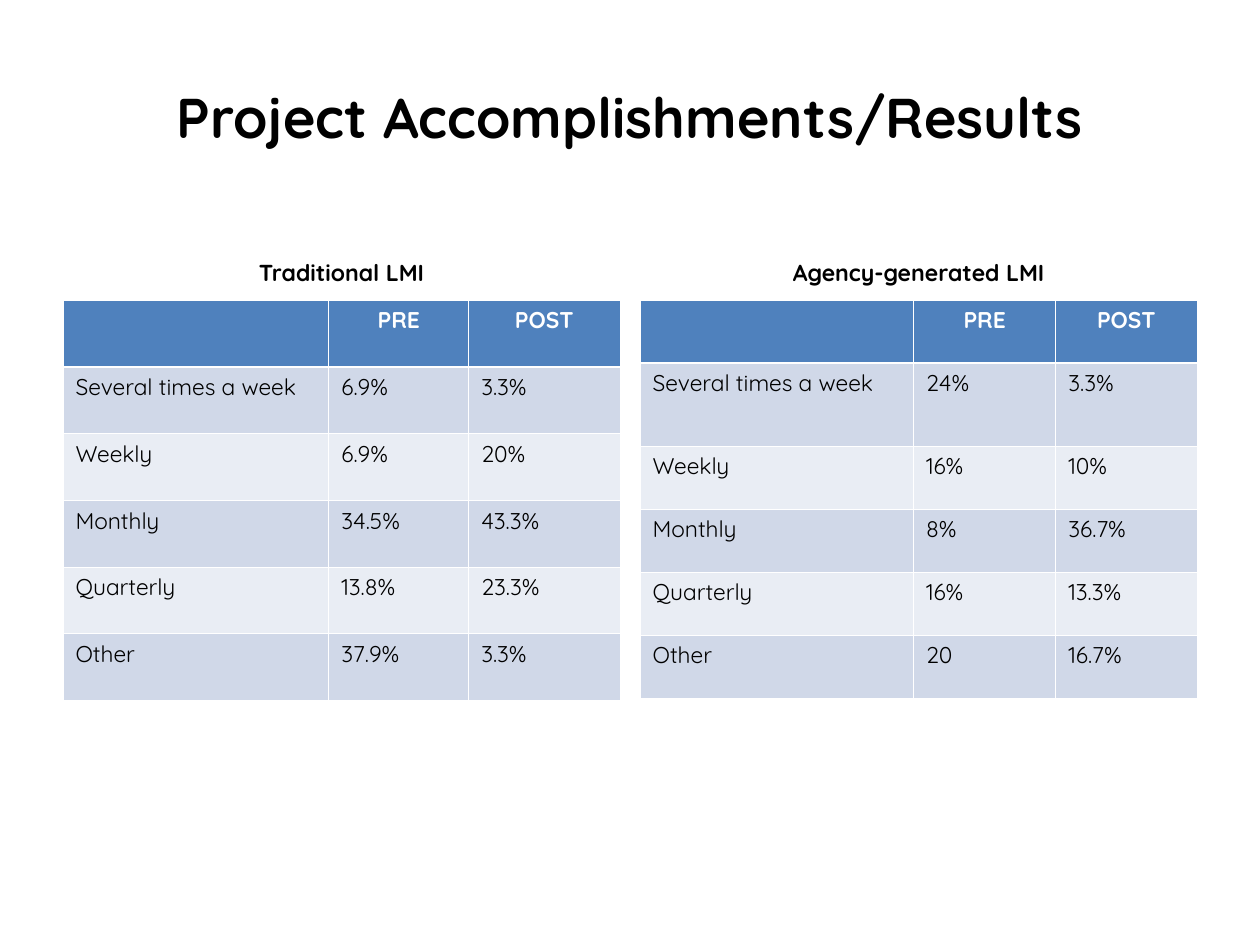
from lxml import etree
from pptx import Presentation
from pptx.dml.color import RGBColor
from pptx.enum.text import MSO_ANCHOR, PP_ALIGN
from pptx.oxml.ns import qn
from pptx.util import Inches, Pt

CENTER, LEFT = PP_ALIGN.CENTER, PP_ALIGN.LEFT
MIDDLE, BOTTOM = MSO_ANCHOR.MIDDLE, MSO_ANCHOR.BOTTOM
FONT = "Quicksand"
COLORS = {
    "text": "000000",
    "header_text": "FFFFFF",
    "header": "4F81BD",
    "odd_row": "D0D8E8",
    "even_row": "E9EDF4",
    "border": "FFFFFF",
}
TABLE_TOP, TABLE_WIDTH = 2.38, 4.42
HEADING_HEIGHT = 0.7
FREQUENCIES = ["Several times a week", "Weekly", "Monthly", "Quarterly", "Other"]

# heading, left, column widths, row heights, PRE values, POST values
PANELS = [
    ("Traditional LMI", 0.5, [2.11, 1.11, 1.2], [0.53] * 6,
     ["6.9%", "6.9%", "34.5%", "13.8%", "37.9%"],
     ["3.3%", "20%", "43.3%", "23.3%", "3.3%"]),
    ("Agency-generated LMI", 5.08, [2.17, 1.13, 1.12], [0.5, 0.66] + [0.5] * 4,
     ["24%", "16%", "8%", "16%", "20"],
     ["3.3%", "10%", "36.7%", "13.3%", "16.7%"]),
]


def write_text(text_frame, text, size, color, bold, alignment):
    paragraph = text_frame.paragraphs[0]
    paragraph.alignment = alignment
    run = paragraph.add_run()
    run.text = text
    run.font.name = FONT
    run.font.size = Pt(size)
    run.font.bold = bold
    run.font.color.rgb = RGBColor.from_string(COLORS[color])


def add_border(cell, side, width):
    """Draw one side of a cell: L, R, T or B. Call before filling the cell."""
    properties = cell._tc.get_or_add_tcPr()
    line = etree.SubElement(properties, qn(f"a:ln{side}"), w=str(Pt(width)))
    fill = etree.SubElement(line, qn("a:solidFill"))
    etree.SubElement(fill, qn("a:srgbClr"), val=COLORS["border"])


presentation = Presentation()
presentation.slide_width = Inches(10)
presentation.slide_height = Inches(7.5)
slide = presentation.slides.add_slide(presentation.slide_layouts[5])

title = slide.shapes.title
title.left, title.top = Inches(0.5), Inches(0.3)
title.width, title.height = Inches(9), Inches(1.25)
write_text(title.text_frame, "Project Accomplishments/Results", 32, "text", True, CENTER)
text_boxes = [(title, MIDDLE)]

for heading_text, left, column_widths, row_heights, pre, post in PANELS:
    heading = slide.shapes.add_textbox(
        Inches(left), Inches(TABLE_TOP - HEADING_HEIGHT),
        Inches(TABLE_WIDTH), Inches(HEADING_HEIGHT))
    write_text(heading.text_frame, heading_text, 13.2, "text", True, CENTER)
    text_boxes.append((heading, BOTTOM))

    rows = [("", "PRE", "POST"), *zip(FREQUENCIES, pre, post)]
    table = slide.shapes.add_table(
        len(rows), len(column_widths), Inches(left), Inches(TABLE_TOP),
        Inches(TABLE_WIDTH), Inches(sum(row_heights))).table
    for column, width in zip(table.columns, column_widths):
        column.width = Inches(width)

    for row_index, values in enumerate(rows):
        table.rows[row_index].height = Inches(row_heights[row_index])
        is_header = row_index == 0
        if is_header:
            fill_color = "header"
        else:
            fill_color = "odd_row" if row_index % 2 else "even_row"
        for column_index, value in enumerate(values):
            cell = table.cell(row_index, column_index)
            for side in "LRTB":
                under_header = (row_index, side) in [(0, "B"), (1, "T")]
                add_border(cell, side, 1.47 if under_header else 0.45)
            cell.fill.solid()
            cell.fill.fore_color.rgb = RGBColor.from_string(COLORS[fill_color])
            if value:
                write_text(cell.text_frame, value, 13,
                           "header_text" if is_header else "text",
                           is_header, CENTER if is_header else LEFT)

for shape, anchor in text_boxes:
    text_frame = shape.text_frame
    text_frame.word_wrap = True
    text_frame.vertical_anchor = anchor
    text_frame.margin_left = text_frame.margin_right = Inches(0.47)
    text_frame.margin_top = text_frame.margin_bottom = Inches(0.23)

presentation.save("out.pptx")
